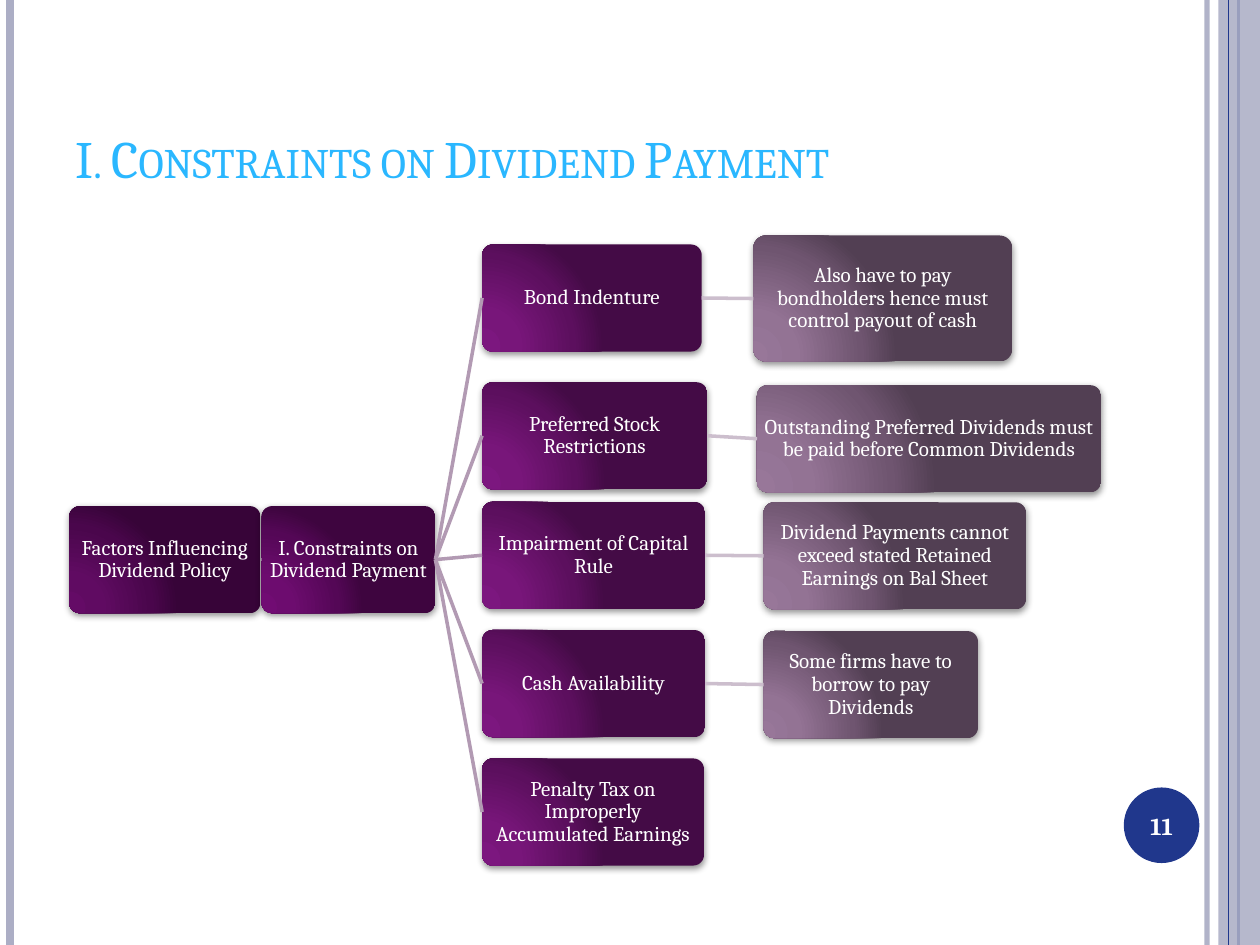
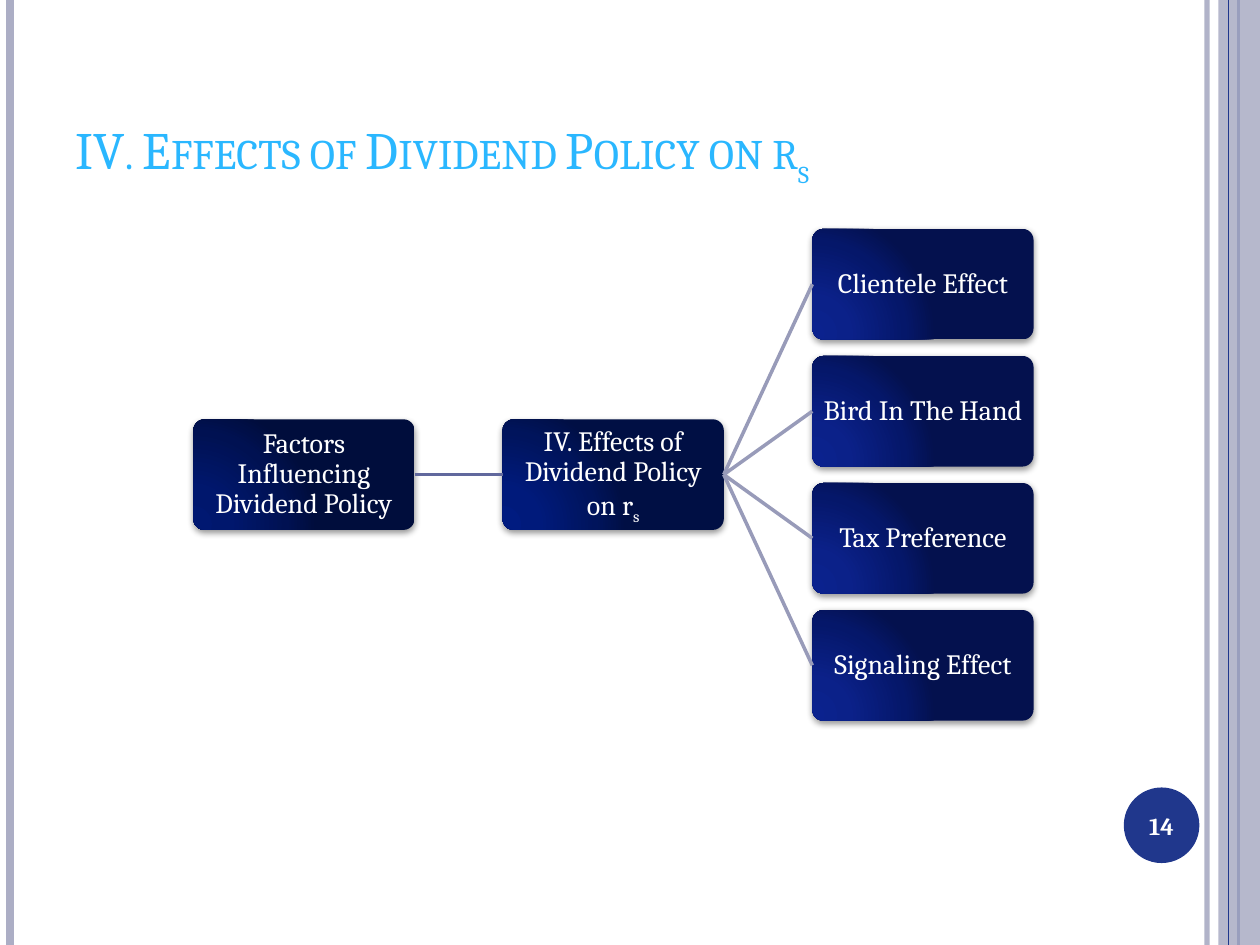
from pptx import Presentation
from pptx import util as u
from pptx.dml.color import RGBColor
from pptx.enum import shapes, text
from pptx.oxml import parse_xml
from pptx.oxml.ns import nsdecls, qn

FONT = "Cambria"
WHITE, NAVY, LILAC, SKY = "FFFFFF", "20378C", "ACAEC5", "2AB7FF"
WIDTH, HEIGHT = 720, 540

# x, width, colour and opacity of the vertical rules
RULES_BEHIND = [(689.8, 3, LILAC, 93), (5.8, 4.5, LILAC, 100), (707.8, 1.5, NAVY, 100)]
RULES_FRONT = [(702, 0.75, NAVY, 100)]
RAIL_LEFT, RAIL_OPACITY = 696.2, 87

GRADIENT_STOPS = [0, 30, 75, 100]
# For each level of a tree: gradient colours, and colour of the line from its parent
PLUM_LEVELS = [
    (["640B66", "600B62", "4A064C", "370438"], None),
    (["710C73", "6D0C6F", "540756", "3E053F"], "926494"),
    (["7C177F", "78167A", "5C0F5E", "440B46"], "B29AB3"),
    (["987799", "937394", "6F5570", "523F53"], "CCBECD"),
]
BLUE_LEVELS = [
    (["001871", "00176D", "001152", "000D3C"], None),
    (["001B80", "001A7B", "00145C", "000F44"], "61689D"),
    (["0B228E", "0B2189", "05176A", "04114E"], "989BB9"),
]

# A node is level, text, left, top, width, height; its parent is the last node one level up.
# An underscore starts a subscript.
H = 61.2
CONSTRAINTS = [
    (0, "Factors Influencing Dividend Policy", 39.5, 289.2, 109.4, H),
    (1, "I. Constraints on Dividend Payment", 149.5, 289.2, 99.3, H),
    (2, "Bond Indenture", 275.5, 139.7, 125.5, H),
    (3, "Also have to pay bondholders hence must control payout of cash",
     430.5, 134.6, 148, 72),
    (2, "Preferred Stock Restrictions", 275.5, 218.4, 128.7, H),
    (3, "Outstanding Preferred Dividends must be paid before Common Dividends",
     432.6, 220.1, 196.6, H),
    (2, "Impairment of Capital Rule", 275.5, 286.7, 127.4, H),
    (3, "Dividend Payments cannot exceed stated Retained Earnings on Bal Sheet",
     436.4, 287, 150, H),
    (2, "Cash Availability", 275.5, 360, 127.4, H),
    (3, "Some firms have to borrow to pay Dividends", 436.4, 360.6, 122.5, H),
    (2, "Penalty Tax on Improperly Accumulated Earnings", 275.5, 433.4, 126.8, H),
]

BOX = (126.4, 63.2)
EFFECTS = [
    (0, "Factors Influencing Dividend Policy", 110.5, 239.6, *BOX),
    (1, "IV. Effects of Dividend Policy on r_s", 287.2, 239.6, *BOX),
]
for row, effect in enumerate(
        ["Clientele Effect", "Bird In The Hand", "Tax Preference", "Signaling Effect"]):
    EFFECTS.append((2, effect, 464.2, 130.8 + 72.6 * row, *BOX))

SLIDES = [
    ("I. Constraints on Dividend Payment", "11", CONSTRAINTS, PLUM_LEVELS, 12),
    ("IV. Effects of Dividend Policy on r_s", "14", EFFECTS, BLUE_LEVELS, 16),
]


def rgb(colour):
    return RGBColor.from_string(colour)


def write(shape, words, size, colour=WHITE, inset=2.5,
          align=text.PP_ALIGN.CENTER, anchor=text.MSO_ANCHOR.MIDDLE):
    """Fill a shape with one paragraph; what follows an underscore is subscript."""
    frame = shape.text_frame
    frame.word_wrap = True
    frame.vertical_anchor = anchor
    frame.margin_left = frame.margin_right = u.Pt(inset)
    frame.margin_top = frame.margin_bottom = u.Pt(inset / 2)
    paragraph = frame.paragraphs[0]
    paragraph.alignment = align
    paragraph.font.size = u.Pt(size)
    paragraph.font.color.rgb = rgb(colour)
    for part in words.split("_"):
        run = paragraph.add_run()
        run.text = part
        run.font.name = FONT
    if "_" in words:
        list(shape.element.iter(qn("a:rPr")))[-1].set("baseline", "-25000")
    return paragraph


presentation = Presentation()
presentation.slide_width, presentation.slide_height = u.Pt(WIDTH), u.Pt(HEIGHT)

for title, number, nodes, levels, text_size in SLIDES:
    slide = presentation.slides.add_slide(presentation.slide_layouts[6])
    translucent = []

    # Side rules, with the rail between them
    for x, width, colour, opacity in RULES_BEHIND + RULES_FRONT:
        if (x, width, colour, opacity) == RULES_FRONT[0]:
            rail = slide.shapes.add_shape(
                shapes.MSO_SHAPE.RECTANGLE, u.Pt(RAIL_LEFT), 0,
                u.Pt(WIDTH - RAIL_LEFT), u.Pt(HEIGHT))
            rail.shadow.inherit = False
            rail.fill.solid()
            rail.fill.fore_color.rgb = rgb(LILAC)
            rail.line.fill.background()
            translucent.append((rail, RAIL_OPACITY))
        rule = slide.shapes.add_connector(
            shapes.MSO_CONNECTOR.STRAIGHT, u.Pt(x), 0, u.Pt(x), u.Pt(HEIGHT))
        rule.line.width = u.Pt(width)
        rule.line.color.rgb = rgb(colour)
        translucent.append((rule, opacity))

    for shape, opacity in translucent:
        if opacity < 100:
            colour_element = next(shape.element.iter(qn("a:srgbClr")))
            colour_element.append(
                parse_xml(f'<a:alpha {nsdecls("a")} val="{opacity * 1000}"/>'))

    # Slide number
    badge = slide.shapes.add_shape(
        shapes.MSO_SHAPE.OVAL, u.Pt(642.2), u.Pt(450), u.Pt(43.2), u.Pt(43.2))
    badge.shadow.inherit = False
    badge.fill.solid()
    badge.fill.fore_color.rgb = rgb(NAVY)
    badge.line.fill.background()
    write(badge, number, 14, inset=0).font.bold = True

    # Title
    heading = slide.shapes.add_textbox(u.Pt(36), u.Pt(21.6), u.Pt(588), u.Pt(90))
    write(heading, title, 30, SKY, 7.2, text.PP_ALIGN.LEFT, text.MSO_ANCHOR.BOTTOM)
    for properties in heading.element.iter(qn("a:rPr")):
        properties.set("cap", "small")

    # Tree
    latest = {}
    for level, words, left, top, width, height in nodes:
        colours, branch_colour = levels[level]
        box = slide.shapes.add_shape(
            shapes.MSO_SHAPE.ROUNDED_RECTANGLE,
            u.Pt(left), u.Pt(top), u.Pt(width), u.Pt(height))
        box.adjustments[0] = 0.1
        box.line.fill.background()
        box.fill.background()
        stops = "".join(
            f'<a:gs pos="{stop * 1000}"><a:srgbClr val="{colour}"/></a:gs>'
            for stop, colour in zip(GRADIENT_STOPS, colours))
        properties = box.element.spPr
        properties.replace(properties.find(qn("a:noFill")), parse_xml(
            f'<a:gradFill {nsdecls("a")} rotWithShape="1"><a:gsLst>{stops}</a:gsLst>'
            '<a:path path="circle"><a:fillToRect l="5000" t="100000" r="120000" b="10000"/>'
            '</a:path></a:gradFill>'))
        box.shadow.inherit = False
        properties.find(qn("a:effectLst")).append(parse_xml(
            f'<a:outerShdw {nsdecls("a")} blurRad="{u.Pt(4)}" dist="{u.Pt(1.6)}" '
            'dir="5400000" rotWithShape="0"><a:srgbClr val="000000">'
            '<a:alpha val="42000"/></a:srgbClr></a:outerShdw>'))
        write(box, words, text_size).line_spacing = 0.9
        latest[level] = box

        if level > 0:
            branch = slide.shapes.add_connector(shapes.MSO_CONNECTOR.STRAIGHT, 0, 0, 0, 0)
            branch.begin_connect(latest[level - 1], 3)
            branch.end_connect(box, 1)
            branch.line.width = u.Pt(2)
            branch.line.color.rgb = rgb(branch_colour)

    for shape in slide.shapes:
        if shape.shape_type == shapes.MSO_SHAPE_TYPE.LINE:
            shape.element.spPr.append(parse_xml(f'<a:effectLst {nsdecls("a")}/>'))

presentation.save("out.pptx")
